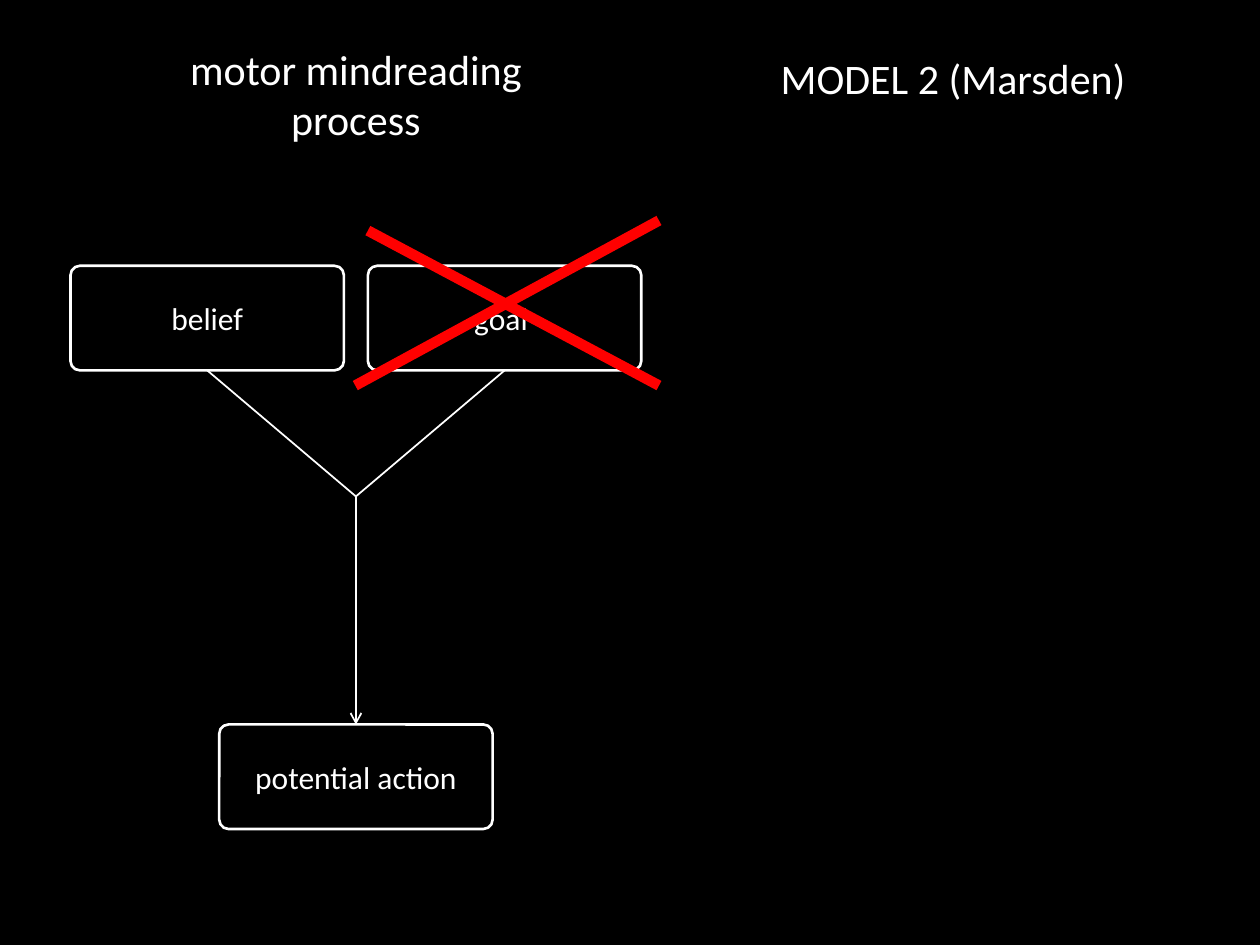
import dataclasses

import pptx
import pptx.dml.color
import pptx.enum.shapes
import pptx.enum.text
import pptx.oxml
import pptx.oxml.ns
import pptx.util

Inches, Pt = pptx.util.Inches, pptx.util.Pt


@dataclasses.dataclass(frozen=True)
class Theme:
    """Colours, type and line widths of the slide."""
    back: str = "000000"
    ink: str = "FFFFFF"
    cross: str = "FF0000"
    font: str = "Calibri"
    heading: int = 24
    label: int = 18
    border: float = 1.5
    link: float = 1
    strike: float = 6


THEME = Theme()


def rgb(value):
    """Return a colour from its hex value."""
    return pptx.dml.color.RGBColor.from_string(value)


def add_box(s, text, box, size, border=None):
    """Add a rounded box with centred text, outlined when a border is given."""
    sp = s.shapes.add_shape(pptx.enum.shapes.MSO_SHAPE.ROUNDED_RECTANGLE,
                            *map(Inches, box))
    sp.adjustments[0] = 0.09
    sp.shadow.inherit = False
    sp.fill.background()
    if border:
        sp.line.color.rgb = rgb(THEME.ink)
        sp.line.width = Pt(border)
    else:
        sp.line.fill.background()
    tf = sp.text_frame
    tf.word_wrap = True
    tf.vertical_anchor = pptx.enum.text.MSO_ANCHOR.MIDDLE
    p = tf.paragraphs[0]
    p.alignment = pptx.enum.text.PP_ALIGN.CENTER
    r = p.add_run()
    r.text = text
    for name, value in {"name": THEME.font, "size": Pt(size)}.items():
        setattr(r.font, name, value)
    r.font.color.rgb = rgb(THEME.ink)


def add_line(s, start, end, color, width, arrow=False):
    """Add a straight line between two points, with an optional arrowhead."""
    line = s.shapes.add_connector(pptx.enum.shapes.MSO_CONNECTOR.STRAIGHT,
                                  *map(Inches, (*start, *end)))
    line.line.color.rgb = rgb(color)
    line.line.width = Pt(width)
    if arrow:
        ln = line.line._get_or_add_ln()
        ln.append(pptx.oxml.parse_xml(
            f'<a:tailEnd {pptx.oxml.ns.nsdecls("a")} type="arrow"/>'))
    line._element.spPr.append(pptx.oxml.parse_xml(
        f'<a:effectLst {pptx.oxml.ns.nsdecls("a")}/>'))


def add_headings(s, x, y):
    """Place the process heading and the model heading from a top left corner."""
    for text, dx, dy in (("motor mindreading process", 0, 0.13),
                         ("MODEL 2 (Marsden)", 4.74, 0)):
        add_box(s, text, (x + dx, y + dy, 3.13, 0.83), THEME.heading)


def add_process(s, x, y, w, h):
    """Place two inputs that merge and lead down to the action."""
    bw, bh = 2.17, 0.83
    mid, bottom = x + w / 2, y + bh
    join = (mid, bottom + 1)
    boxes = (("belief", x, y), ("goal ", x + w - bw, y),
             ("potential action", mid - bw / 2, y + h - bh))
    for text, left, top in boxes:
        add_box(s, text, (left, top, bw, bh), THEME.label, THEME.border)
    for _, left, _ in boxes[:2]:
        add_line(s, (left + bw / 2, bottom), join, THEME.ink, THEME.link)
    add_line(s, join, (mid, y + h - bh), THEME.ink, THEME.link, arrow=True)


def add_cross(s, x, y, w, h):
    """Strike out a region with two diagonal strokes."""
    for start, end in (((x + 0.1, y + 0.08), (x + w, y + h)),
                       ((x, y + h), (x + w, y))):
        add_line(s, start, end, THEME.cross, THEME.strike)


def main():
    """Build and save the slide."""
    prs = pptx.Presentation()
    prs.slide_width, prs.slide_height = Inches(10), Inches(7.5)
    s = prs.slides.add_slide(prs.slide_layouts[6])
    s.background.fill.solid()
    s.background.fill.fore_color.rgb = rgb(THEME.back)
    add_headings(s, 1.26, 0.2)
    add_process(s, 0.56, 2.11, 4.53, 4.47)
    add_cross(s, 2.82, 1.75, 2.41, 1.31)
    prs.save("out.pptx")


main()
